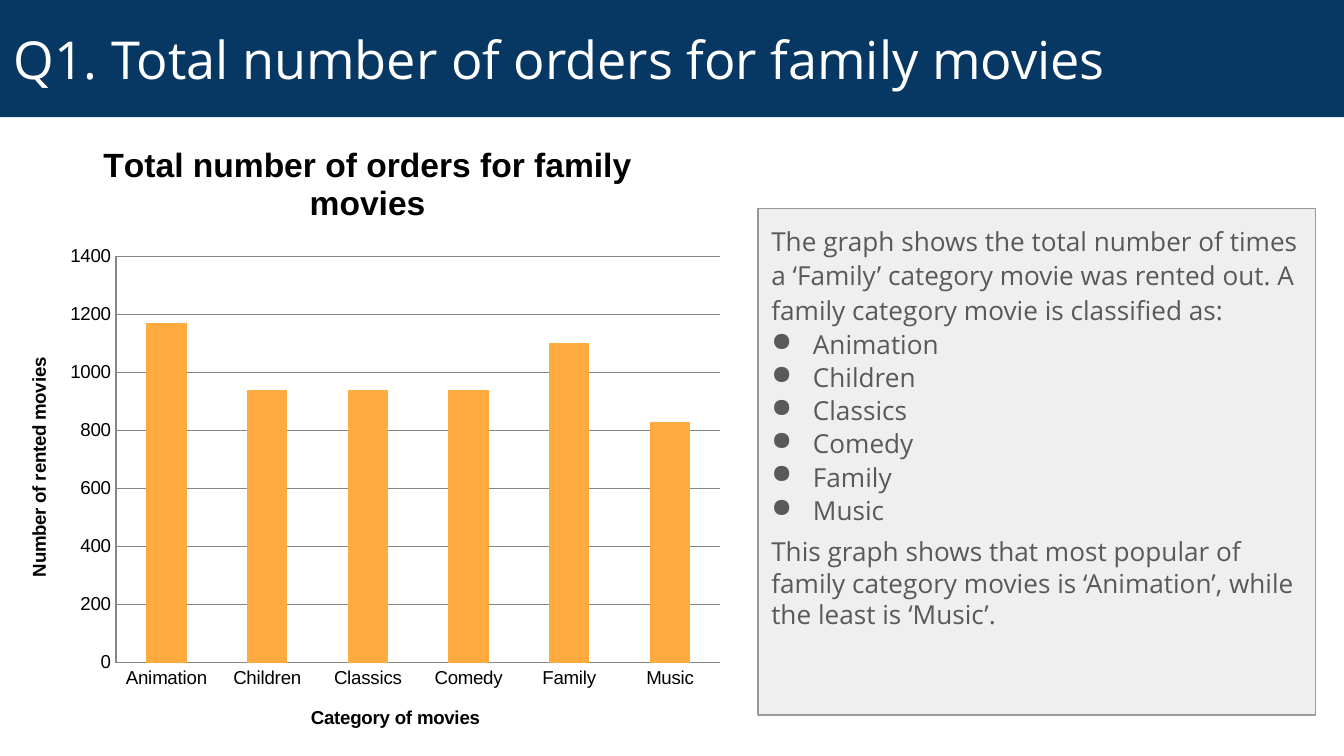
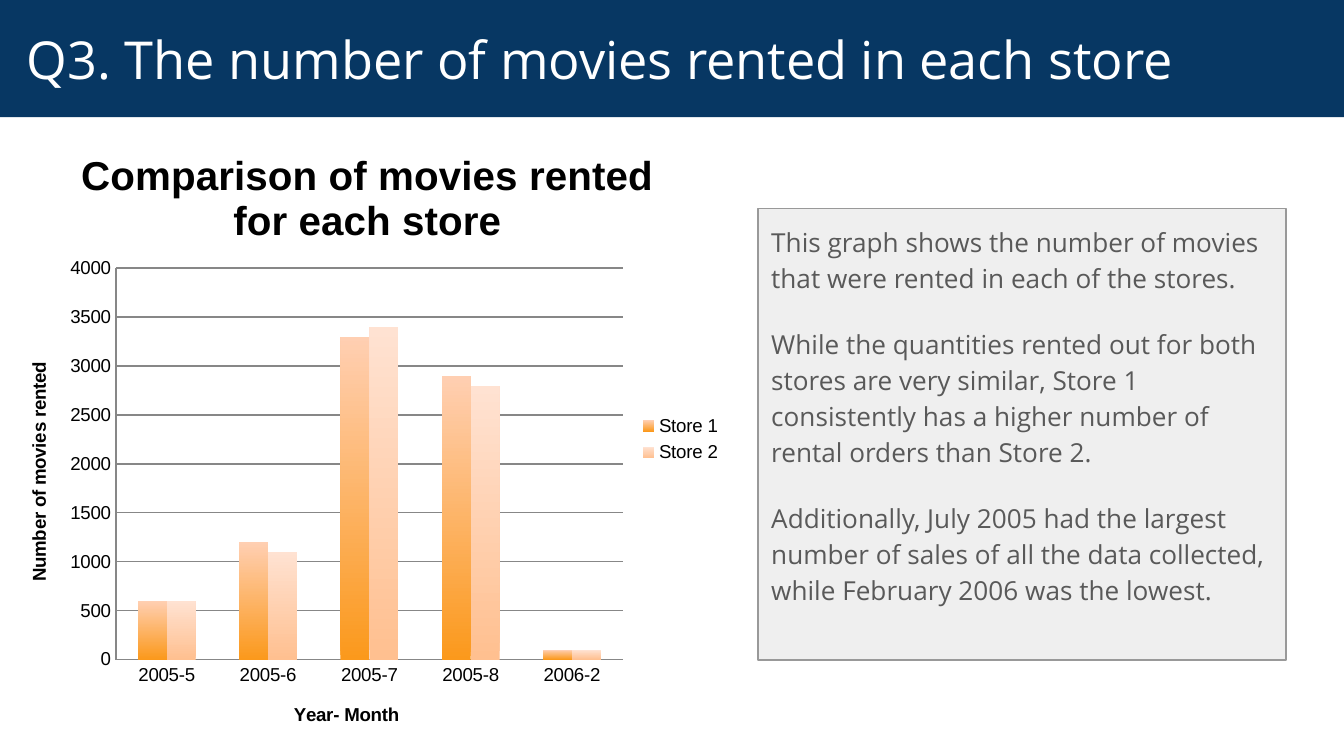
from dataclasses import dataclass

import pptx
import pptx.chart.data
import pptx.dml.color
import pptx.enum.chart
import pptx.enum.shapes
import pptx.enum.text
import pptx.oxml
import pptx.oxml.ns
import pptx.util
from pptx.dml.color import RGBColor

# Shared look
NAVY = RGBColor(0x07, 0x37, 0x63)
WHITE = RGBColor(0xFF, 0xFF, 0xFF)
BLACK = RGBColor(0x00, 0x00, 0x00)
PANEL = RGBColor(0xEF, 0xEF, 0xEF)
BORDER = RGBColor(0x99, 0x99, 0x99)
TEXT = RGBColor(0x59, 0x59, 0x59)
GRID = RGBColor(0x87, 0x87, 0x87)
ORANGE = RGBColor(0xFF, 0xAB, 0x40)
ORANGE_DEEP = RGBColor(0xFB, 0x99, 0x1C)
PEACH = RGBColor(0xFF, 0xCF, 0xB2)
PEACH_DEEP = RGBColor(0xFF, 0xC0, 0x90)
PEACH_PALE = RGBColor(0xFF, 0xE2, 0xD2)
BODY_FONT = "Open Sans"
CHART_FONT = "Arial"
INSET = pptx.util.Inches(0.1)
INDENT = pptx.util.Inches(0.31)
AXIS_SIZE = 10


@dataclass(frozen=True)
class Box:
    """Place and size in percent of the containing area."""
    x: float
    y: float
    w: float
    h: float


@dataclass(frozen=True)
class Para:
    text: str
    spacing: float = 1.0
    after: float = 6
    bullet: bool = False


@dataclass(frozen=True)
class Series:
    name: str
    values: tuple[int, ...]
    bottom: RGBColor
    top: RGBColor


@dataclass(frozen=True)
class ColumnChart:
    box: Box
    plot: Box
    title: str
    title_size: float
    x_title: str
    y_title: str
    y_max: int
    y_step: int
    categories: tuple[str, ...]
    series: tuple[Series, ...]


@dataclass(frozen=True)
class Page:
    title: str
    chart: ColumnChart
    panel: Box
    paras: tuple[Para, ...]


BAND = Box(0, 0, 100, 15.5)

prs = pptx.Presentation()
prs.slide_width = pptx.util.Inches(10)
prs.slide_height = prs.slide_width * 9 // 16


def place(box: Box) -> tuple[int, int, int, int]:
    """Turn percentages into slide lengths."""
    w, h = prs.slide_width, prs.slide_height
    return (int(w * box.x / 100), int(h * box.y / 100),
            int(w * box.w / 100), int(h * box.h / 100))


def style(font, name: str, size: float, color: RGBColor,
          bold: bool = False) -> None:
    font.name = name
    font.size = pptx.util.Pt(size)
    font.bold = bold
    font.color.rgb = color


def frame(tf, anchor) -> None:
    tf.word_wrap = True
    tf.auto_size = pptx.enum.text.MSO_AUTO_SIZE.NONE
    tf.vertical_anchor = anchor
    tf.margin_left = tf.margin_right = INSET
    tf.margin_top = tf.margin_bottom = INSET


def add_text(p, text: str, font: str, size: float, color: RGBColor,
             bold: bool = False) -> None:
    r = p.add_run()
    r.text = text
    style(r.font, font, size, color, bold)


def add_bullet(p) -> None:
    pPr = p._p.get_or_add_pPr()
    pPr.set("marL", str(INDENT))
    pPr.set("indent", str(-INDENT))
    ns = pptx.oxml.ns.nsdecls("a")
    for xml in (f'<a:buClr {ns}><a:srgbClr val="{TEXT}"/></a:buClr>',
                f'<a:buChar {ns} char="●"/>'):
        pPr.append(pptx.oxml.parse_xml(xml))


def add_title(s, text: str) -> None:
    sp = s.shapes.title
    sp.left, sp.top, sp.width, sp.height = place(BAND)
    sp.fill.solid()
    sp.fill.fore_color.rgb = NAVY
    frame(sp.text_frame, pptx.enum.text.MSO_ANCHOR.MIDDLE)
    p = sp.text_frame.paragraphs[0]
    p.alignment = pptx.enum.text.PP_ALIGN.LEFT
    add_text(p, text, BODY_FONT, 28, WHITE)


def add_panel(s, box: Box, paras: tuple[Para, ...]) -> None:
    sp = s.shapes.add_shape(pptx.enum.shapes.MSO_SHAPE.RECTANGLE, *place(box))
    sp.shadow.inherit = False
    sp.fill.solid()
    sp.fill.fore_color.rgb = PANEL
    sp.line.color.rgb = BORDER
    sp.line.width = pptx.util.Pt(0.75)
    tf = sp.text_frame
    frame(tf, pptx.enum.text.MSO_ANCHOR.TOP)
    for i, para in enumerate(paras):
        p = tf.add_paragraph() if i else tf.paragraphs[0]
        p.alignment = pptx.enum.text.PP_ALIGN.LEFT
        p.line_spacing = para.spacing
        p.space_after = pptx.util.Pt(para.after)
        if para.bullet:
            add_bullet(p)
        add_text(p, para.text, BODY_FONT, 14, TEXT)


def title_part(part, text: str, size: float) -> None:
    """Title a chart or an axis."""
    add_text(part.text_frame.paragraphs[0], text, CHART_FONT, size, BLACK, True)


def set_plot_area(chart, box: Box) -> None:
    area = chart._chartSpace.chart.plotArea
    for old in area.findall(pptx.oxml.ns.qn("c:layout")):
        area.remove(old)
    values = (("x", box.x), ("y", box.y), ("w", box.w), ("h", box.h))
    modes = "".join(f'<c:{k}Mode val="edge"/>' for k in "xy")
    sizes = "".join(f'<c:{k} val="{v / 100:.4f}"/>' for k, v in values)
    area.insert(0, pptx.oxml.parse_xml(
        f'<c:layout {pptx.oxml.ns.nsdecls("c")}><c:manualLayout>'
        f'<c:layoutTarget val="inner"/>{modes}{sizes}'
        '</c:manualLayout></c:layout>'))


def fill_series(fill, series: Series) -> None:
    if series.bottom == series.top:
        fill.solid()
        fill.fore_color.rgb = series.bottom
        return
    fill.gradient()
    fill.gradient_angle = 90
    for stop, color in zip(fill.gradient_stops, (series.bottom, series.top)):
        stop.color.rgb = color


def add_chart(s, c: ColumnChart) -> None:
    data = pptx.chart.data.CategoryChartData()
    data.categories = c.categories
    for series in c.series:
        data.add_series(series.name, series.values)
    kind = pptx.enum.chart.XL_CHART_TYPE.COLUMN_CLUSTERED
    chart = s.shapes.add_chart(kind, *place(c.box), data).chart
    style(chart.font, CHART_FONT, 18, BLACK)
    chart.has_title = True
    title_part(chart.chart_title, c.title, c.title_size)
    set_plot_area(chart, c.plot)

    # Axes
    for axis, text in ((chart.category_axis, c.x_title),
                       (chart.value_axis, c.y_title)):
        axis.has_title = True
        title_part(axis.axis_title, text, AXIS_SIZE)
        axis.major_tick_mark = pptx.enum.chart.XL_TICK_MARK.NONE
        axis.minor_tick_mark = pptx.enum.chart.XL_TICK_MARK.NONE
        axis.format.line.color.rgb = GRID
        style(axis.tick_labels.font, CHART_FONT, AXIS_SIZE, BLACK)
    axis = chart.value_axis
    axis.minimum_scale, axis.maximum_scale = 0, c.y_max
    axis.major_unit = c.y_step
    axis.has_major_gridlines = True
    axis.major_gridlines.format.line.color.rgb = GRID

    # Columns and legend
    plot = chart.plots[0]
    plot.gap_width = 150
    plot.overlap = 0
    plot.vary_by_categories = False
    for drawn, series in zip(plot.series, c.series):
        fill_series(drawn.format.fill, series)
    chart.has_legend = len(c.series) > 1
    if chart.has_legend:
        chart.legend.position = pptx.enum.chart.XL_LEGEND_POSITION.RIGHT
        chart.legend.include_in_layout = False
        style(chart.legend.font, CHART_FONT, AXIS_SIZE, BLACK)


# Content
GENRES = ("Animation", "Children", "Classics", "Comedy", "Family", "Music")

PAGES = (
    Page(
        "Q1. Total number of orders for family movies",
        ColumnChart(
            Box(0, 15.5, 54.7, 84.5), Box(15.8, 21.8, 82.2, 63.6),
            "Total number of orders for family movies", 18,
            "Category of movies", "Number of rented movies", 1400, 200, GENRES,
            (Series("Series 1", (1170, 940, 940, 940, 1100, 830),
                    ORANGE, ORANGE),)),
        Box(56.4, 27.6, 41.5, 67),
        (Para("The graph shows the total number of times a ‘Family’ category "
              "movie was rented out. A family category movie is classified as:",
              1.1),
         *(Para(genre, 0.7, bullet=True) for genre in GENRES),
         Para("This graph shows that most popular of family category movies "
              "is ‘Animation’, while the least is ‘Music’."))),
    Page(
        " Q3. The number of movies rented in each store",
        ColumnChart(
            Box(0, 16.2, 54.7, 83.8), Box(15.8, 23, 68.9, 61.8),
            "Comparison of movies rented for each store", 21.6,
            "Year- Month", "Number of movies rented", 4000, 500,
            ("2005-5", "2005-6", "2005-7", "2005-8", "2006-2"),
            (Series("Store 1", (600, 1200, 3300, 2900, 100),
                    ORANGE_DEEP, PEACH),
             Series("Store 2", (600, 1100, 3400, 2800, 100),
                    PEACH_DEEP, PEACH_PALE))),
        Box(56.4, 27.6, 39.3, 59.7),
        tuple(Para(text, 1.15, 16) for text in (
            "This graph shows the number of movies that were rented in each "
            "of the stores.",
            "While the quantities rented out for both stores are very similar, "
            "Store 1 consistently has a higher number of rental orders than "
            "Store 2.",
            "Additionally, July 2005 had the largest number of sales of all "
            "the data collected, while February 2006 was the lowest."))),
)

TITLE_ONLY = prs.slide_layouts[5]
for page in PAGES:
    s = prs.slides.add_slide(TITLE_ONLY)
    add_title(s, page.title)
    add_panel(s, page.panel, page.paras)
    add_chart(s, page.chart)

prs.save("out.pptx")
